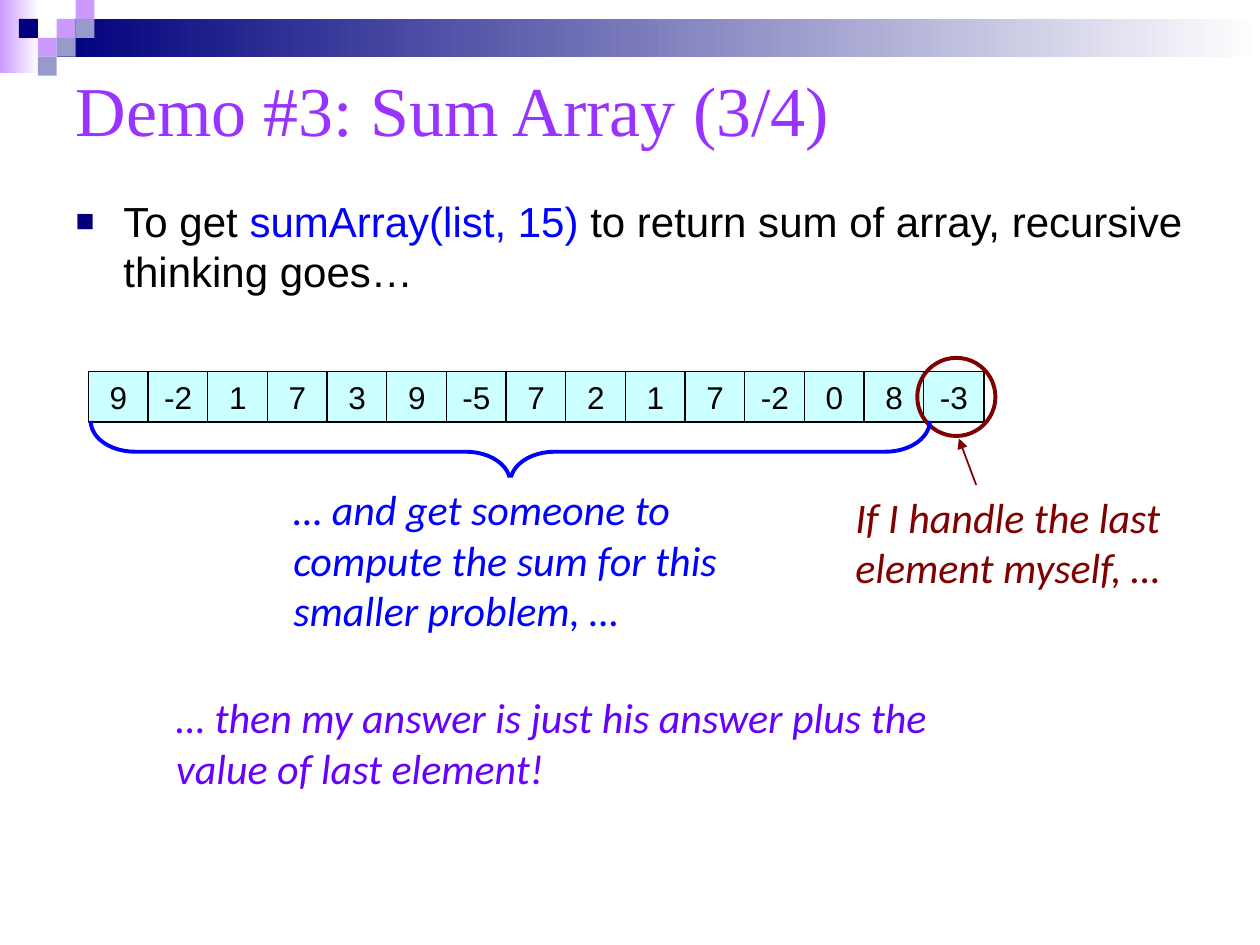
from dataclasses import dataclass

import pptx
import pptx.dml.color
import pptx.enum.shapes
import pptx.enum.text
import pptx.oxml.ns
import pptx.util
from lxml import etree
from pptx.util import Inches

SHAPES = pptx.enum.shapes.MSO_SHAPE
ALIGN = pptx.enum.text.PP_ALIGN
ANCHOR = pptx.enum.text.MSO_ANCHOR


@dataclass(frozen=True)
class Theme:
    white: str = "FFFFFF"
    black: str = "000000"
    navy: str = "00007D"
    lilac: str = "CC99FF"
    slate: str = "9999CC"
    title: str = "9933FF"
    code: str = "0000FF"
    cell: str = "CCFFFF"
    last: str = "800000"
    answer: str = "6600FF"
    title_size: int = 40
    body_size: int = 24
    cell_size: int = 18
    title_font: str = "Times New Roman"
    body_font: str = "Arial"
    note_font: str = "Calibri"


THEME = Theme()


def rgb(color):
    return pptx.dml.color.RGBColor.from_string(color)


def add_xml(parent, tag, **attributes):
    return etree.SubElement(parent, pptx.oxml.ns.qn(tag), attributes)


def place(shape, box):
    shape.left, shape.top, shape.width, shape.height = [Inches(value) for value in box]


def add_shape(slide, kind, box, fill=None, line=None, line_width=0.75):
    shape = slide.shapes.add_shape(kind, *[Inches(value) for value in box])
    shape.shadow.inherit = False
    if fill:
        shape.fill.solid()
        shape.fill.fore_color.rgb = rgb(fill)
    else:
        shape.fill.background()
    if line:
        shape.line.color.rgb = rgb(line)
        shape.line.width = pptx.util.Pt(line_width)
    else:
        shape.line.fill.background()
    return shape


def write_text(shape, *runs, size=THEME.body_size, font=THEME.body_font,
               italic=False, align=ALIGN.LEFT, anchor=ANCHOR.TOP):
    frame = shape.text_frame
    frame.word_wrap = True
    frame.auto_size = pptx.enum.text.MSO_AUTO_SIZE.NONE
    frame.vertical_anchor = anchor
    paragraph = frame.paragraphs[0]
    paragraph.alignment = align
    paragraph.space_before = pptx.util.Pt(0)
    for text, color in runs:
        run = paragraph.add_run()
        run.text = text
        run.font.size = pptx.util.Pt(size)
        run.font.name = font
        run.font.italic = italic
        run.font.color.rgb = rgb(color)
    return paragraph


def add_gradient(slide, box, color):
    shape = add_shape(slide, SHAPES.RECTANGLE, box)
    shape.fill.gradient()
    shape.fill.gradient_angle = 0
    for stop, stop_color in zip(shape.fill.gradient_stops, (color, THEME.white)):
        stop.color.rgb = rgb(stop_color)


def add_header(slide, box):
    left, top, width, height = box
    side = height / 4
    add_gradient(slide, (left, top, 0.31, 0.58), THEME.lilac)
    add_gradient(slide, (left + 3 * side, top + side, width - 3 * side, 2 * side), THEME.navy)
    squares = [
        (3, 1, THEME.lilac), (4, 0, THEME.lilac), (4, 1, THEME.slate),
        (2, 2, THEME.lilac), (1, 1, THEME.navy), (3, 2, THEME.slate),
        (2, 3, THEME.slate),
    ]
    for column, row, color in squares:
        square = (left + column * side, top + row * side, side, side)
        add_shape(slide, SHAPES.RECTANGLE, square, fill=color)


def add_title(slide, box):
    place(slide.shapes.title, box)
    write_text(slide.shapes.title, ("Demo #3: Sum Array (3/4)", THEME.title),
               size=THEME.title_size, font=THEME.title_font, anchor=ANCHOR.MIDDLE)


def add_body(slide, box):
    body = slide.placeholders[1]
    place(body, box)
    paragraph = write_text(
        body,
        ("To get ", THEME.black),
        ("sumArray(list, 15) ", THEME.code),
        ("to return sum of array, recursive thinking goes…", THEME.black),
    )
    properties = paragraph._p.get_or_add_pPr()
    properties.set("marL", str(Inches(0.38)))
    properties.set("indent", str(Inches(-0.38)))
    add_xml(add_xml(properties, "a:buClr"), "a:srgbClr", val=THEME.navy)
    add_xml(properties, "a:buSzPct", val="75000")
    add_xml(properties, "a:buFont", typeface=THEME.body_font)
    add_xml(properties, "a:buChar", char="■")


def add_array(slide, box, values):
    left, top, width, height = box
    cell_width = 0.48
    pitch = (width - cell_width) / (len(values) - 1)
    for index, value in enumerate(values):
        cell = add_shape(slide, SHAPES.RECTANGLE,
                         (left + index * pitch, top, cell_width, height),
                         fill=THEME.cell, line=THEME.black)
        write_text(cell, (str(value), THEME.black), size=THEME.cell_size, align=ALIGN.CENTER)


def add_note(slide, box, text, color):
    note = add_shape(slide, SHAPES.RECTANGLE, box, fill=THEME.white)
    write_text(note, (text, color), font=THEME.note_font, italic=True)


def add_last_element(slide, box):
    left, top, width, height = box
    arrow = slide.shapes.add_connector(
        pptx.enum.shapes.MSO_CONNECTOR.STRAIGHT,
        Inches(left + 1.11), Inches(top + 1.15), Inches(left + 0.92), Inches(top + 0.64))
    arrow.line.color.rgb = rgb(THEME.last)
    arrow.line.width = pptx.util.Pt(1)
    add_xml(arrow.line._get_or_add_ln(), "a:tailEnd", type="triangle")
    add_xml(arrow._element.spPr, "a:effectLst")
    add_note(slide, (left, top + 1.01, width, height - 1.01),
             "If I handle the last element myself, …", THEME.last)
    add_shape(slide, SHAPES.OVAL, (left + 0.59, top, 0.62, 0.62),
              line=THEME.last, line_width=2.25)


def add_smaller_problem(slide, box):
    left, top, width, height = box
    depth = 0.49
    brace = add_shape(
        slide, SHAPES.LEFT_BRACE,
        (left + (width - depth) / 2, top + (depth - width) / 2, depth, width),
        line=THEME.code, line_width=2.25)
    brace.rotation = 270
    brace.adjustments[0] = 0.717
    add_note(slide, (left + 1.51, top + 0.45, 3.92, height - 0.45),
             "… and get someone to compute the sum for this smaller problem, …", THEME.code)


def main():
    presentation = pptx.Presentation()
    presentation.slide_width = Inches(10)
    presentation.slide_height = Inches(7.5)
    slide = presentation.slides.add_slide(presentation.slide_layouts[1])
    add_header(slide, (0, 0, 10, 0.6))
    add_title(slide, (0.5, 0.42, 9, 0.88))
    add_body(slide, (0.5, 1.5, 9, 0.91))
    add_array(slide, (0.7, 2.95, 7.11, 0.4),
              [9, -2, 1, 7, 3, 9, -5, 7, 2, 1, 7, -2, 0, 8, -3])
    add_last_element(slide, (6.69, 2.84, 2.79, 1.92))
    add_smaller_problem(slide, (0.72, 3.34, 6.66, 1.76))
    add_note(slide, (1.3, 5.44, 6.64, 0.91),
             "… then my answer is just his answer plus the value of last element!", THEME.answer)
    presentation.save("out.pptx")


if __name__ == "__main__":
    main()
